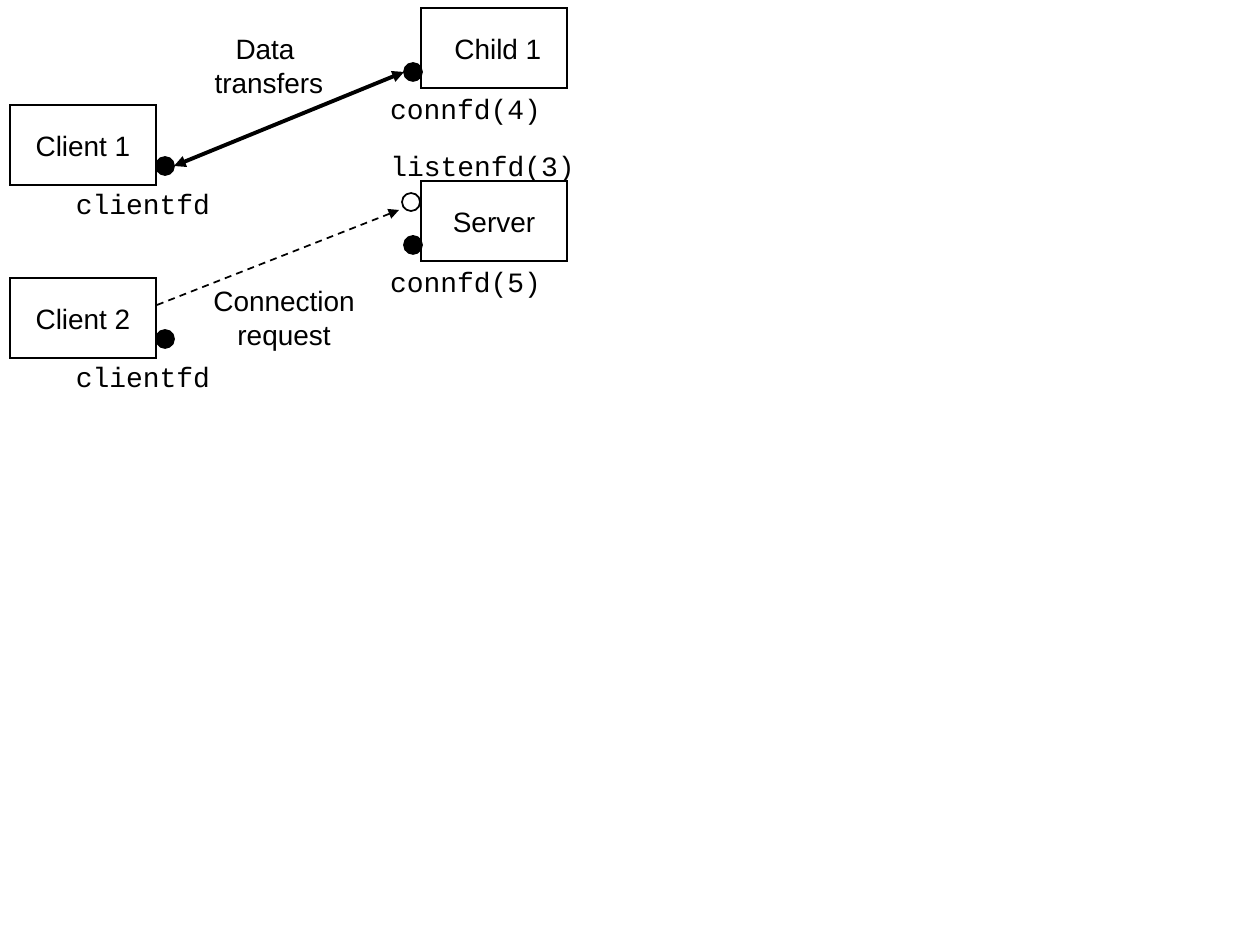
from lxml import etree
from pptx import Presentation
from pptx import util as u
from pptx.dml.color import RGBColor
from pptx.enum import dml, shapes, text
from pptx.oxml.ns import qn

BLACK = RGBColor(0, 0, 0)
WHITE = RGBColor(255, 255, 255)
SANS = "Arial"
MONO = "Courier New"
BOX_W, BOX_H, DOT = 146, 80, 18


def px(n):
    return u.Emu(round(n * 914400 / 126))


def write(shape, words, font):
    frame = shape.text_frame
    frame.text = words
    frame.word_wrap = False
    frame.vertical_anchor = text.MSO_ANCHOR.MIDDLE
    for par in frame.paragraphs:
        par.alignment = text.PP_ALIGN.CENTER
        for run in par.runs:
            run.font.name = font
            run.font.size = u.Pt(16)
            run.font.color.rgb = BLACK


def label(slide, x, y, w, h, words, font=MONO):
    box = slide.shapes.add_textbox(px(x), px(y), px(w), px(h))
    write(box, words, font)
    box.text_frame.auto_size = text.MSO_AUTO_SIZE.SHAPE_TO_FIT_TEXT


def solid(slide, kind, x, y, w, h, fill):
    shape = slide.shapes.add_shape(kind, px(x), px(y), px(w), px(h))
    shape.shadow.inherit = False
    shape.fill.solid()
    shape.fill.fore_color.rgb = fill
    shape.line.color.rgb = BLACK
    shape.line.width = u.Pt(1)
    etree.SubElement(shape.line._get_or_add_ln(), qn("a:miter"), lim="800000")
    return shape


def dot(slide, x, y, fill=BLACK):
    solid(slide, shapes.MSO_SHAPE.OVAL, x, y, DOT, DOT, fill)


def node(slide, x, y, name):
    box = solid(slide, shapes.MSO_SHAPE.RECTANGLE, x, y, BOX_W, BOX_H, WHITE)
    write(box, name, SANS)


def client(slide, x, y, name):
    dot(slide, x + BOX_W, y + 52)
    node(slide, x, y, name)
    label(slide, x + 52, y + 75, 162, 47, "clientfd")


def worker(slide, x, y, name, conn):
    node(slide, x, y, name)
    dot(slide, x - 17, y + 55)
    label(slide, x - 45, y + 77, 179, 47, conn)


def listen(slide, x, y):
    dot(slide, x - 19, y + 12, WHITE)
    label(slide, x - 45, y - 39, 213, 47, "listenfd(3)")


def arrow(slide, x1, y1, x2, y2, width, ends, dash=None):
    line = slide.shapes.add_connector(
        shapes.MSO_CONNECTOR.STRAIGHT, px(x1), px(y1), px(x2), px(y2))
    line.line.color.rgb = BLACK
    line.line.width = u.Pt(width)
    if dash:
        line.line.dash_style = dash
    for end in ends:
        etree.SubElement(line.line._get_or_add_ln(), qn(f"a:{end}"), type="triangle")
    etree.SubElement(line._element.spPr, qn("a:effectLst"))


def main():
    deck = Presentation()
    deck.slide_width, deck.slide_height = px(1260), px(945)
    slide = deck.slides.add_slide(deck.slide_layouts[6])

    client(slide, 10, 278, "Client 2")
    client(slide, 10, 105, "Client 1")
    listen(slide, 421, 181)
    worker(slide, 421, 181, "Server", "connfd(5)")
    worker(slide, 421, 8, " Child 1", "connfd(4)")

    arrow(slide, 174, 166, 404, 72, 2.25, ("headEnd", "tailEnd"))
    arrow(slide, 157, 305, 399, 210, 1, ("tailEnd",), dml.MSO_LINE.DASH)
    label(slide, 199, 277, 170, 81, "Connection\nrequest", SANS)
    label(slide, 201, 25, 136, 81, "Data \ntransfers", SANS)

    deck.save("out.pptx")


if __name__ == "__main__":
    main()
